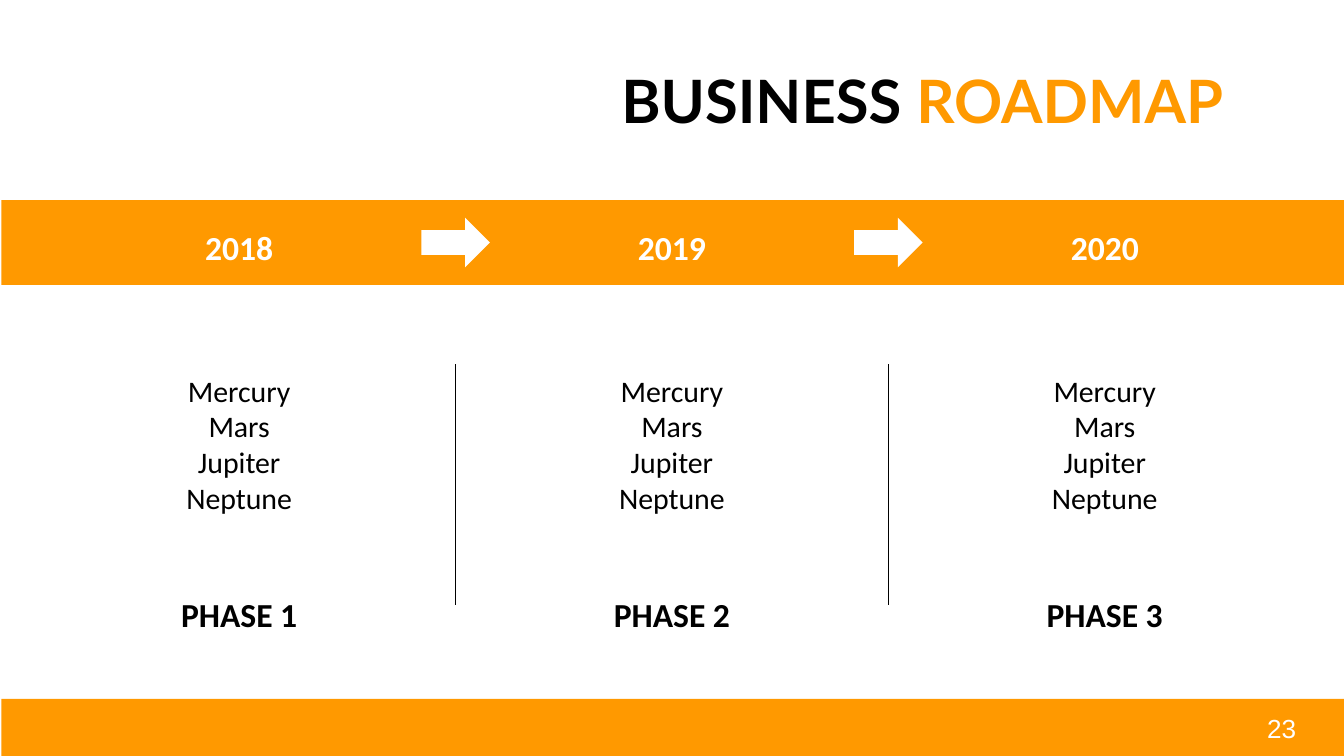
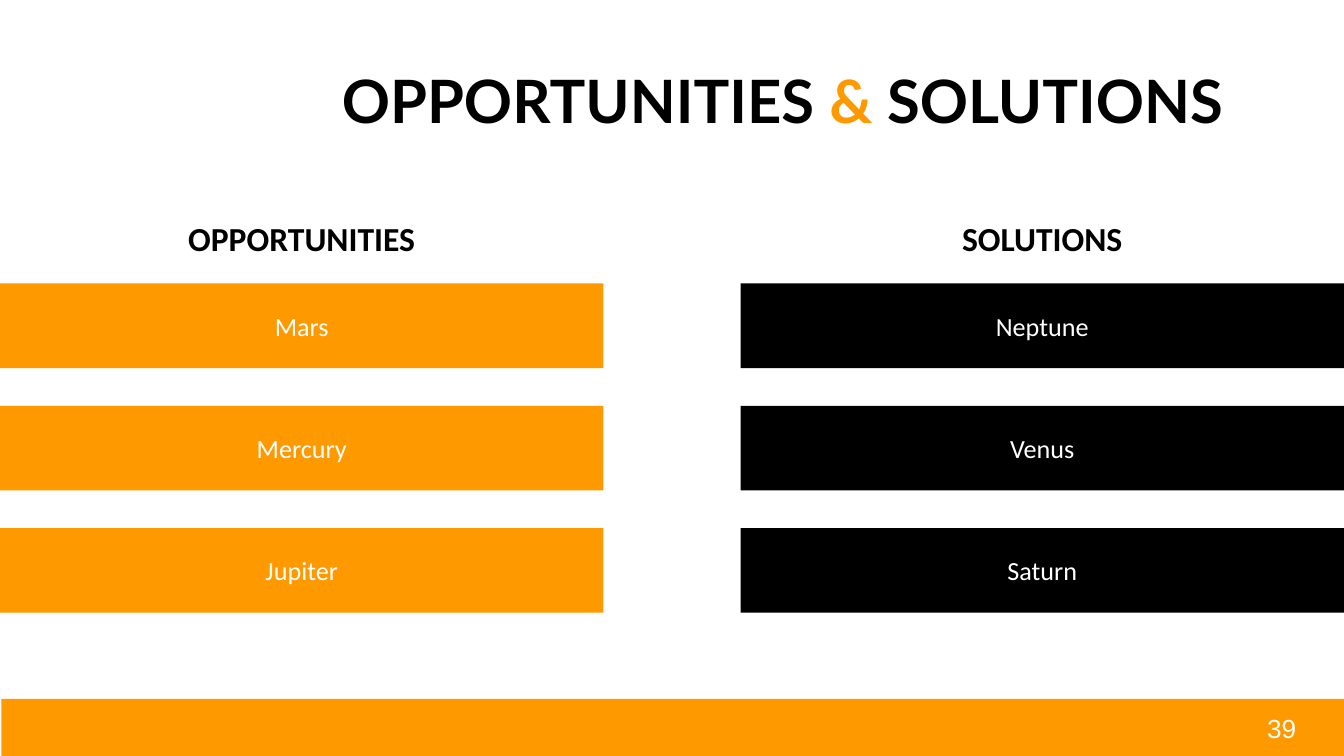
"""Build the business roadmap and the opportunities and solutions slides."""
from dataclasses import dataclass

from lxml import etree
from pptx import Presentation
from pptx.dml.color import RGBColor
from pptx.enum.shapes import MSO_CONNECTOR, MSO_SHAPE
from pptx.enum.text import MSO_ANCHOR, PP_ALIGN
from pptx.oxml.ns import qn
from pptx.shapes.autoshape import Shape
from pptx.slide import Slide
from pptx.util import Inches, Pt

RECTANGLE = MSO_SHAPE.RECTANGLE
RIGHT_ARROW = MSO_SHAPE.RIGHT_ARROW
STRAIGHT = MSO_CONNECTOR.STRAIGHT
LEFT, CENTER, RIGHT = PP_ALIGN.LEFT, PP_ALIGN.CENTER, PP_ALIGN.RIGHT
TOP, MIDDLE = MSO_ANCHOR.TOP, MSO_ANCHOR.MIDDLE


@dataclass(frozen=True)
class Theme:
    """Colours, fonts and type sizes used on every slide."""

    accent: RGBColor = RGBColor(0xFF, 0x99, 0x00)
    dark: RGBColor = RGBColor(0x00, 0x00, 0x00)
    light: RGBColor = RGBColor(0xFF, 0xFF, 0xFF)
    title_font: str = "Lato"
    body_font: str = "Calibri"
    number_font: str = "Arial"
    title_size: int = 32
    heading_size: int = 18
    list_size: int = 16
    small_size: int = 14
    rule_width: float = 0.75


THEME = Theme()


@dataclass(frozen=True)
class Box:
    """A place on the slide, in inches."""

    left: float
    top: float
    width: float
    height: float


@dataclass(frozen=True)
class Run:
    """A piece of text with its colour."""

    text: str
    color: RGBColor


@dataclass(frozen=True)
class Phase:
    """One column of the roadmap."""

    year: str
    planets: tuple[str, ...]
    name: str


@dataclass(frozen=True)
class Column:
    """A heading above a stack of bars of one colour."""

    heading: str
    left: float
    color: RGBColor
    bars: tuple[str, ...]


SLIDE_WIDTH = Inches(10)
SLIDE_HEIGHT = SLIDE_WIDTH * 9 // 16

BAND_LEFT, BAND_WIDTH, BAND_HEIGHT = 0.01, 10, 0.63
FOOTER_BOX = Box(BAND_LEFT, 5.2, BAND_WIDTH, 0.43)
NUMBER_BOX = Box(9.33, 5.25, 0.59, 0.34)
TITLE_BOX = Box(0.79, 0.48, 8.41, 0.63)

PHASE_CENTER, PHASE_PITCH = 1.78, 3.22
PLANETS = ("Mercury", "Mars", "Jupiter", "Neptune")
PHASES = (
    Phase("2018", PLANETS, "PHASE 1"),
    Phase("2019", PLANETS, "PHASE 2"),
    Phase("2020", PLANETS, "PHASE 3"),
)

BAR_WIDTH, BAR_TOP, BAR_PITCH = 4.49, 2.11, 0.91
COLUMNS = (
    Column("OPPORTUNITIES", 0, THEME.accent, ("Mars", "Mercury", "Jupiter")),
    Column("SOLUTIONS", 5.51, THEME.dark, ("Neptune", "Venus", "Saturn")),
)


def centered(center: float, top: float, width: float, height: float) -> Box:
    """Return a box with the given horizontal centre."""
    return Box(center - width / 2, top, width, height)


def add_figure(slide: Slide, box: Box, color: RGBColor, kind: MSO_SHAPE = RECTANGLE) -> Shape:
    """Draw a filled preset shape without outline or shadow."""
    figure = slide.shapes.add_shape(
        kind, Inches(box.left), Inches(box.top), Inches(box.width), Inches(box.height)
    )
    figure.shadow.inherit = False
    figure.fill.solid()
    figure.fill.fore_color.rgb = color
    figure.line.fill.background()
    return figure


def write_text(
    target: Shape,
    paragraphs: list[list[Run]],
    *,
    size: int,
    font: str = THEME.body_font,
    bold: bool = False,
    align: PP_ALIGN = CENTER,
    anchor: MSO_ANCHOR = TOP,
    line_spacing: float = 1.0,
    inset: float = 0.1,
) -> None:
    """Write formatted paragraphs into a shape or text box."""
    frame = target.text_frame
    frame.word_wrap = True
    frame.vertical_anchor = anchor
    frame.margin_left = frame.margin_right = Inches(0.1)
    frame.margin_top = frame.margin_bottom = Inches(inset)
    for index, runs in enumerate(paragraphs):
        paragraph = frame.add_paragraph() if index else frame.paragraphs[0]
        paragraph.alignment = align
        paragraph.line_spacing = line_spacing
        for part in runs:
            run = paragraph.add_run()
            run.text = part.text
            run.font.name = font
            run.font.size = Pt(size)
            run.font.bold = bold
            run.font.color.rgb = part.color


def add_label(slide: Slide, box: Box, paragraphs: list[list[Run]], **text_format) -> None:
    """Add a text box with formatted paragraphs."""
    label = slide.shapes.add_textbox(
        Inches(box.left), Inches(box.top), Inches(box.width), Inches(box.height)
    )
    write_text(label, paragraphs, **text_format)


def add_heading(slide: Slide, box: Box, text: str, color: RGBColor = THEME.dark) -> None:
    """Add a bold centred heading."""
    add_label(slide, box, [[Run(text, color)]], size=THEME.heading_size, bold=True)


def add_divider(slide: Slide, x: float, top: float, bottom: float) -> None:
    """Draw a thin vertical rule."""
    divider = slide.shapes.add_connector(
        STRAIGHT, Inches(x), Inches(top), Inches(x), Inches(bottom)
    )
    divider.line.color.rgb = THEME.dark
    divider.line.width = Pt(THEME.rule_width)
    etree.SubElement(divider._element.spPr, qn("a:effectLst"))


def start_slide(deck: Presentation, title: list[Run], number: str) -> Slide:
    """Add a slide with the shared footer, page number and title."""
    slide = deck.slides.add_slide(deck.slide_layouts[6])
    add_figure(slide, FOOTER_BOX, THEME.accent)
    add_label(
        slide, NUMBER_BOX, [[Run(number, THEME.light)]],
        size=THEME.small_size, font=THEME.number_font, align=LEFT, inset=0.05,
    )
    add_label(
        slide, TITLE_BOX, [title], size=THEME.title_size, font=THEME.title_font,
        bold=True, align=RIGHT, line_spacing=0.8,
    )
    return slide


def build_roadmap(deck: Presentation) -> None:
    """Build the three-phase roadmap slide."""
    title = [Run("BUSINESS ", THEME.dark), Run("ROADMAP", THEME.accent)]
    slide = start_slide(deck, title, "23")
    add_figure(slide, Box(BAND_LEFT, 1.49, BAND_WIDTH, BAND_HEIGHT), THEME.accent)
    for index, phase in enumerate(PHASES):
        center = PHASE_CENTER + index * PHASE_PITCH
        add_heading(slide, centered(center, 1.59, 1.59, 0.43), phase.year, THEME.light)
        add_label(
            slide, centered(center, 2.67, 1.77, 1.27),
            [[Run(planet, THEME.dark)] for planet in phase.planets],
            size=THEME.list_size,
        )
        add_heading(slide, centered(center, 4.32, 1.59, 0.43), phase.name)
        if index < len(PHASES) - 1:
            boundary = center + PHASE_PITCH / 2
            add_figure(slide, centered(boundary, 1.62, 0.51, 0.37), THEME.light, RIGHT_ARROW)
            add_divider(slide, boundary, 2.71, 4.5)


def build_opportunities(deck: Presentation) -> None:
    """Build the slide that sets opportunities against solutions."""
    title = [
        Run("OPPORTUNITIES ", THEME.dark),
        Run("&", THEME.accent),
        Run(" SOLUTIONS", THEME.dark),
    ]
    slide = start_slide(deck, title, "39")
    for column in COLUMNS:
        center = column.left + BAR_WIDTH / 2
        add_heading(slide, centered(center, 1.52, 2.13, 0.45), column.heading)
        for row, planet in enumerate(column.bars):
            place = Box(column.left, BAR_TOP + row * BAR_PITCH, BAR_WIDTH, BAND_HEIGHT)
            bar = add_figure(slide, place, column.color)
            write_text(
                bar, [[Run(planet, THEME.light)]], size=THEME.small_size, anchor=MIDDLE
            )


def main() -> None:
    """Build and save the presentation."""
    deck = Presentation()
    deck.slide_width = SLIDE_WIDTH
    deck.slide_height = SLIDE_HEIGHT
    build_roadmap(deck)
    build_opportunities(deck)
    deck.save("out.pptx")


if __name__ == "__main__":
    main()
